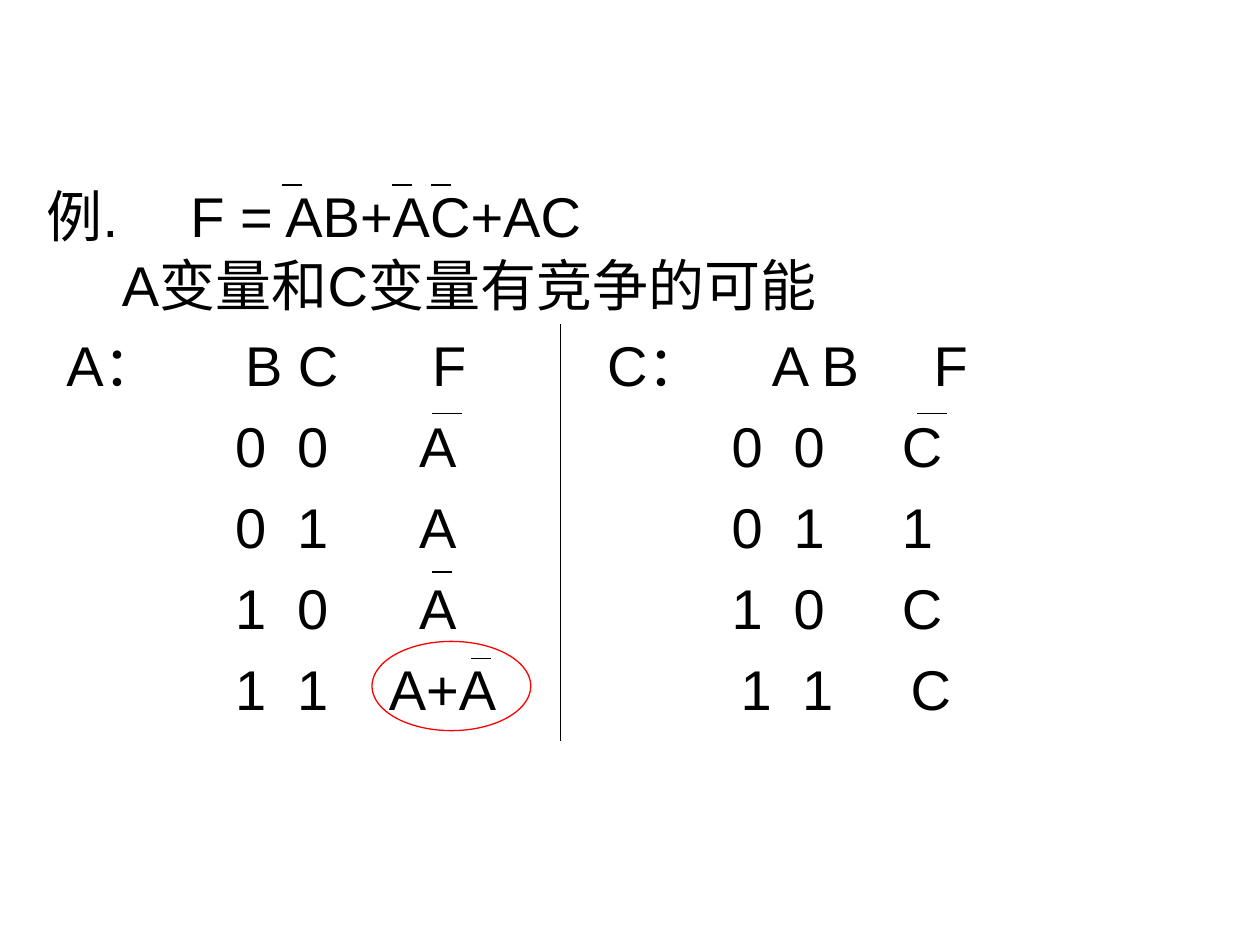
from pptx import Presentation
from pptx.dml.color import RGBColor
from pptx.enum.shapes import MSO_CONNECTOR, MSO_SHAPE
from pptx.oxml.ns import qn
from pptx.util import Cm, Pt
from lxml import etree

BLACK = RGBColor(0x00, 0x00, 0x00)
RED = RGBColor(0xFF, 0x00, 0x00)
STRAIGHT, OVAL = MSO_CONNECTOR.STRAIGHT, MSO_SHAPE.OVAL

# Content: cells of each line and the tab stops (cm) they start at
FORMULA = [(["例.", "F = AB+AC+AC"], [2.9])]
REMARK = [(["A变量和C变量有竞争的可能"], [])]
HEAD_STOPS = [3.6, 7.37, 10.9, 14.22, 17.48]
ROW_STOPS = [3.4, 4.65, 7.11, 13.41, 14.66, 16.84]
LAST_STOPS = [3.4, 4.65, 6.5, 13.59, 14.83, 17.02]
TRUTH_TABLE = [
    (["A：", "B C", "F", "C：", "A B", "F"], HEAD_STOPS),
    (["", "0", "0", "A", "0", "0", "C"], ROW_STOPS),
    (["", "0", "1", "A", "0", "1", "1"], ROW_STOPS),
    (["", "1", "0", "A", "1", "0", "C"], ROW_STOPS),
    (["", "1", "1", "A+A", "1", "1", "C"], LAST_STOPS),
]

# Text blocks: left, top, height (cm), lines
TEXT_WIDTH = 23.19
BLOCKS = [
    (0.69, 3.53, 1.63, FORMULA),
    (2.21, 4.93, 1.63, REMARK),
    (1.09, 6.53, 8.15, TRUTH_TABLE),
]

# Negation bars: left, y, length (cm)
BARS = [
    (5.69, 3.73, 0.4), (7.9, 3.73, 0.4), (8.69, 3.73, 0.4),
    (8.71, 8.33, 0.6), (18.49, 8.33, 0.6),
    (8.71, 11.53, 0.4), (9.5, 13.28, 0.4),
]
DIVIDER = (11.3, 6.53, 11.3, 14.93)
HAZARD = (7.5, 12.93, 3.2, 1.8)


def add_text(s, lines, left, top, height, size=32, font="Arial", color=BLACK):
    tf = s.shapes.add_textbox(Cm(left), Cm(top), Cm(TEXT_WIDTH), Cm(height)).text_frame
    tf.word_wrap = True
    for i, (cells, stops) in enumerate(lines):
        p = tf.paragraphs[0] if i == 0 else tf.add_paragraph()
        p.space_before = Pt(8 if i else 0)
        if stops:
            tabs = etree.SubElement(p._p.get_or_add_pPr(), qn("a:tabLst"))
            for stop in stops:
                etree.SubElement(tabs, qn("a:tab"), pos=str(Cm(stop)), algn="l")
        r = p.add_run()
        r.text = "\t".join(cells)
        r.font.size, r.font.name = Pt(size), font
        r.font.color.rgb = color


def add_line(s, x1, y1, x2, y2):
    line = s.shapes.add_connector(STRAIGHT, Cm(x1), Cm(y1), Cm(x2), Cm(y2))
    line.line.color.rgb = BLACK
    line.line.width = Pt(0.75)
    etree.SubElement(line._element.spPr, qn("a:effectLst"))


def main():
    prs = Presentation()
    prs.slide_width, prs.slide_height = Cm(25.4), Cm(19.05)
    s = prs.slides.add_slide(prs.slide_layouts[6])

    # Formula, remark and truth tables
    for left, top, height, lines in BLOCKS:
        add_text(s, lines, left, top, height)

    # Negation bars and the divider between the tables
    for left, y, length in BARS:
        add_line(s, left, y, left + length, y)
    add_line(s, *DIVIDER)

    # Ring around the hazard
    sp = s.shapes.add_shape(OVAL, *map(Cm, HAZARD))
    sp.shadow.inherit = False
    sp.fill.background()
    sp.line.color.rgb = RED
    sp.line.width = Pt(0.75)

    prs.save("out.pptx")


if __name__ == "__main__":
    main()
